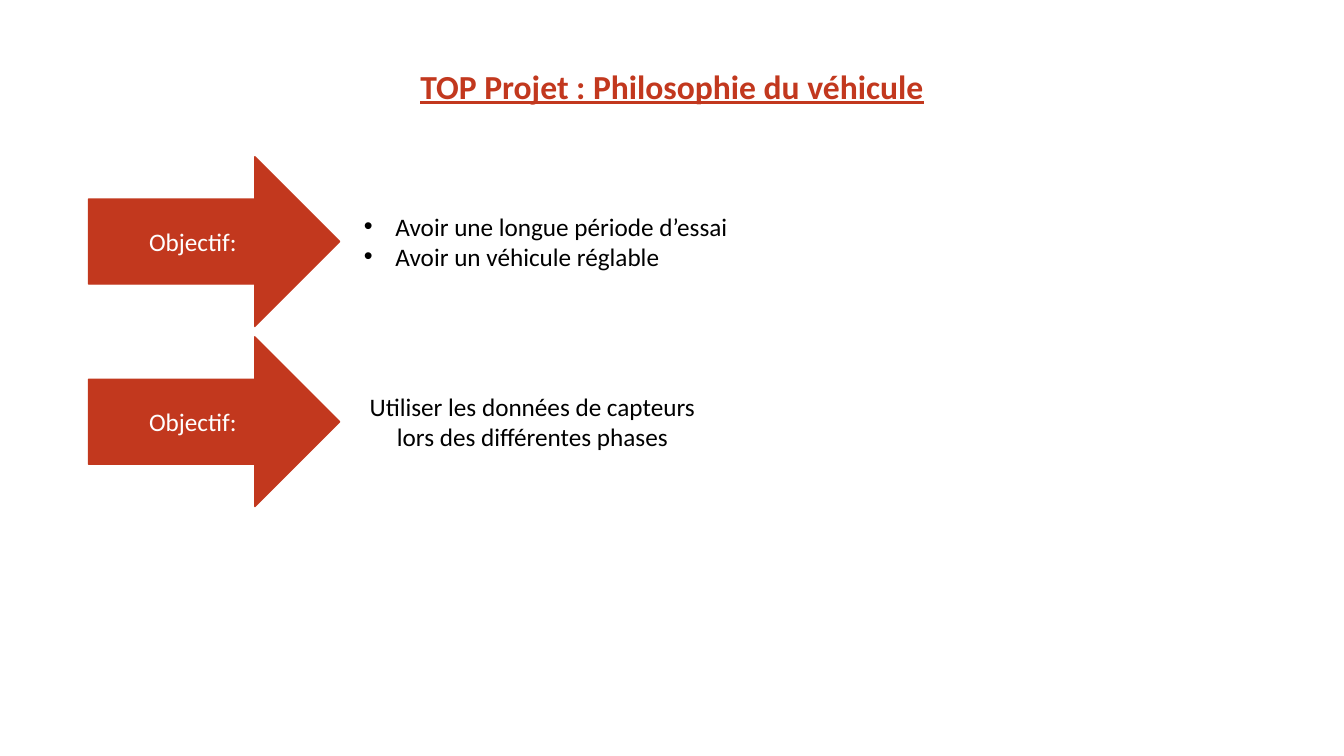
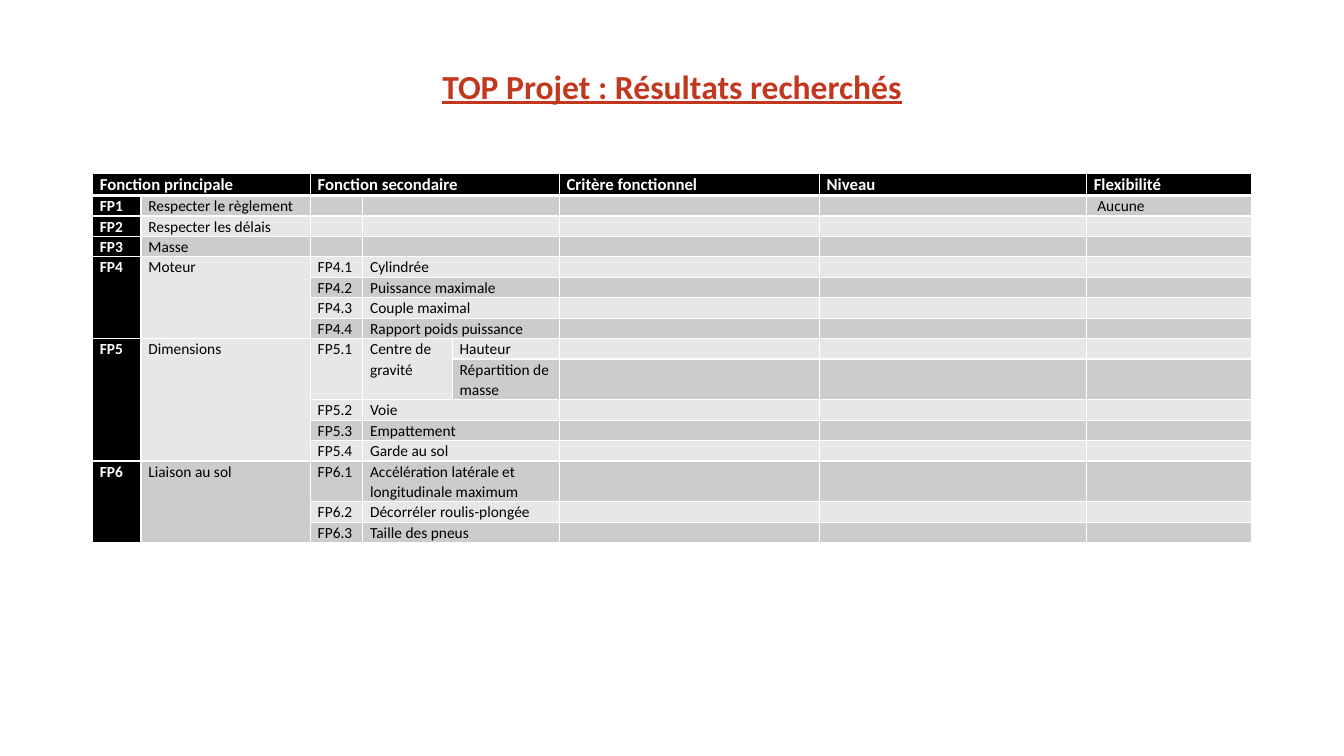
"""Build the two project slides: vehicle philosophy and expected results."""
from lxml import etree
from pptx import Presentation
from pptx.dml.color import RGBColor
from pptx.enum import shapes, text
from pptx.oxml.ns import qn
from pptx.util import Pt

RED, BLACK, WHITE = "C2381E", "000000", "FFFFFF"
BANDS = ["E7E7E7", "CCCCCC"]
FONT = "Calibri"


def color(value):
    return RGBColor.from_string(value)


def style(para, size, ink, bold=False, underline=False, align=text.PP_ALIGN.LEFT):
    para.alignment = align
    para.space_before = Pt(0)
    for span in para.runs:
        span.font.name = FONT
        span.font.size = Pt(size)
        span.font.bold = bold
        span.font.underline = underline
        span.font.color.rgb = color(ink)


deck = Presentation()
deck.slide_width, deck.slide_height = Pt(960), Pt(540)
center = text.PP_ALIGN.CENTER

pages = []
for layout, heading in [(1, "TOP Projet : Philosophie du véhicule"),
                        (5, "TOP Projet : Résultats recherchés")]:
    page = deck.slides.add_slide(deck.slide_layouts[layout])
    title = page.shapes.title
    title.left, title.top, title.width, title.height = Pt(0), Pt(43.2), Pt(960), Pt(36.4)
    title.text_frame.text = heading
    title.text_frame.auto_size = text.MSO_AUTO_SIZE.NONE
    style(title.text_frame.paragraphs[0], 24, RED, True, True, center)
    pages.append(page)
philosophy, results = pages

arrow_top, arrow_step = 112, 128.6
for index in range(2):
    arrow = philosophy.shapes.add_shape(
        shapes.MSO_SHAPE.RIGHT_ARROW,
        Pt(63.2), Pt(arrow_top + index * arrow_step), Pt(179.4), Pt(121.2))
    arrow.shadow.inherit = False
    arrow.fill.solid()
    arrow.fill.fore_color.rgb = color(RED)
    arrow.line.color.rgb = color(RED)
    arrow.line.width = Pt(1)
    arrow.text_frame.text = "Objectif:"
    arrow.text_frame.vertical_anchor = text.MSO_ANCHOR.MIDDLE
    style(arrow.text_frame.paragraphs[0], 18, WHITE, align=center)

goals = philosophy.placeholders[1]
goals.left, goals.top, goals.width, goals.height = Pt(252.8), Pt(147), Pt(277), Pt(51)
goals.text_frame.text = "Avoir une longue période d’essai\nAvoir un véhicule réglable"
goals.text_frame.auto_size = text.MSO_AUTO_SIZE.NONE
for para in goals.text_frame.paragraphs:
    style(para, 18, BLACK)
    properties = para._p.get_or_add_pPr()
    properties.set("marL", str(Pt(22.5)))
    properties.set("indent", str(Pt(-22.5)))

sensors = philosophy.shapes.add_textbox(Pt(252.8), Pt(275.8), Pt(255), Pt(51))
sensors.text_frame.word_wrap = True
sensors.text_frame.text = "Utiliser les données de capteurs lors des différentes phases"
style(sensors.text_frame.paragraphs[0], 18, BLACK, align=center)

headers = {0: "Fonction principale", 2: "Fonction secondaire",
           5: "Critère fonctionnel", 6: "Niveau", 7: "Flexibilité"}
functions = [
    ("FP1", "Respecter le règlement", [("", "", "")]),
    ("FP2", "Respecter les délais", [("", "", "")]),
    ("FP3", "Masse", [("", "", "")]),
    ("FP4", "Moteur", [("FP4.1", "Cylindrée", ""), ("FP4.2", "Puissance maximale", ""),
                       ("FP4.3", "Couple maximal", ""),
                       ("FP4.4", "Rapport poids puissance", "")]),
    ("FP5", "Dimensions", [("FP5.1", "Centre de gravité", "Hauteur"),
                           ("", "", "Répartition de masse"), ("FP5.2", "Voie", ""),
                           ("FP5.3", "Empattement", ""), ("FP5.4", "Garde au sol", "")]),
    ("FP6", "Liaison au sol", [("FP6.1", "Accélération latérale et longitudinale maximum", ""),
                               ("FP6.2", "Décorréler roulis-plongée", ""),
                               ("FP6.3", "Taille des pneus", "")]),
]
widths = [34.6, 121, 37.4, 64, 76.4, 185.8, 190.8, 118.2]
heights = [15.6] + [14.6] * 15
heights[9] = heights[13] = 28.7

table = results.shapes.add_table(len(heights), len(widths), Pt(66.2), Pt(124),
                                 Pt(sum(widths)), Pt(sum(heights))).table
table.first_row = table.horz_banding = False
for column, width in zip(table.columns, widths):
    column.width = Pt(width)
for row, height in zip(table.rows, heights):
    row.height = Pt(height)

words = {(0, column): header for column, header in headers.items()}
words[1, 7] = "\N{NO-BREAK SPACE}Aucune"
merges = [(0, 0, 0, 1), (0, 2, 0, 4), (8, 2, 9, 2), (8, 3, 9, 3)]
first = 1
for code, name, details in functions:
    words[first, 0], words[first, 1] = code, name
    last = first + len(details) - 1
    if last > first:
        merges += [(first, 0, last, 0), (first, 1, last, 1)]
    for row, detail in enumerate(details, first):
        for column, entry in enumerate(detail, 2):
            words[row, column] = entry
        if not detail[2]:
            merges.append((row, 3, row, 4))
    first = last + 1
for top, left, bottom, right in merges:
    table.cell(top, left).merge(table.cell(bottom, right))

for row in range(len(heights)):
    for column in range(len(widths)):
        cell = table.cell(row, column)
        dark = row == 0 or column == 0
        cell.margin_left = cell.margin_right = Pt(5.2)
        cell.margin_top = cell.margin_bottom = Pt(0)
        for side in ["lnL", "lnR", "lnT", "lnB"]:
            thick = (row, side) in [(0, "lnB"), (1, "lnT")]
            border = etree.SubElement(cell._tc.get_or_add_tcPr(), qn("a:" + side),
                                      w=str(Pt(3 if thick else 1)))
            paint = etree.SubElement(border, qn("a:solidFill"))
            etree.SubElement(paint, qn("a:srgbClr"), val=WHITE)
        cell.fill.solid()
        cell.fill.fore_color.rgb = color(BLACK if dark else BANDS[row % 2])
        para = cell.text_frame.paragraphs[0]
        entry = words.get((row, column), "")
        if entry:
            para.text = entry
        para.line_spacing = 1.07
        style(para, 11 if row else 12, WHITE if dark else BLACK, dark)
        if not entry:
            etree.SubElement(para._p, qn("a:endParaRPr"), sz="1100")

deck.save("out.pptx")
